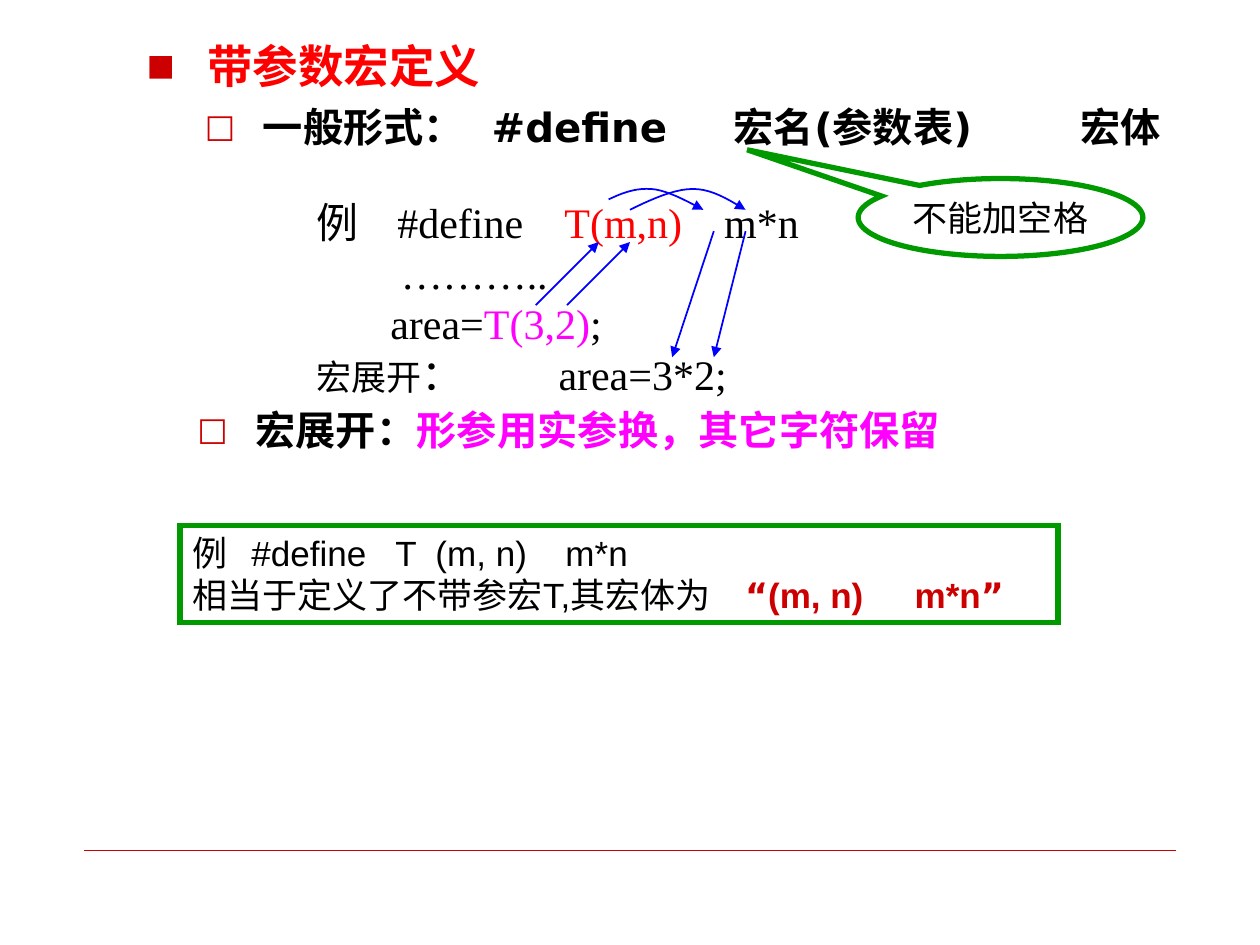
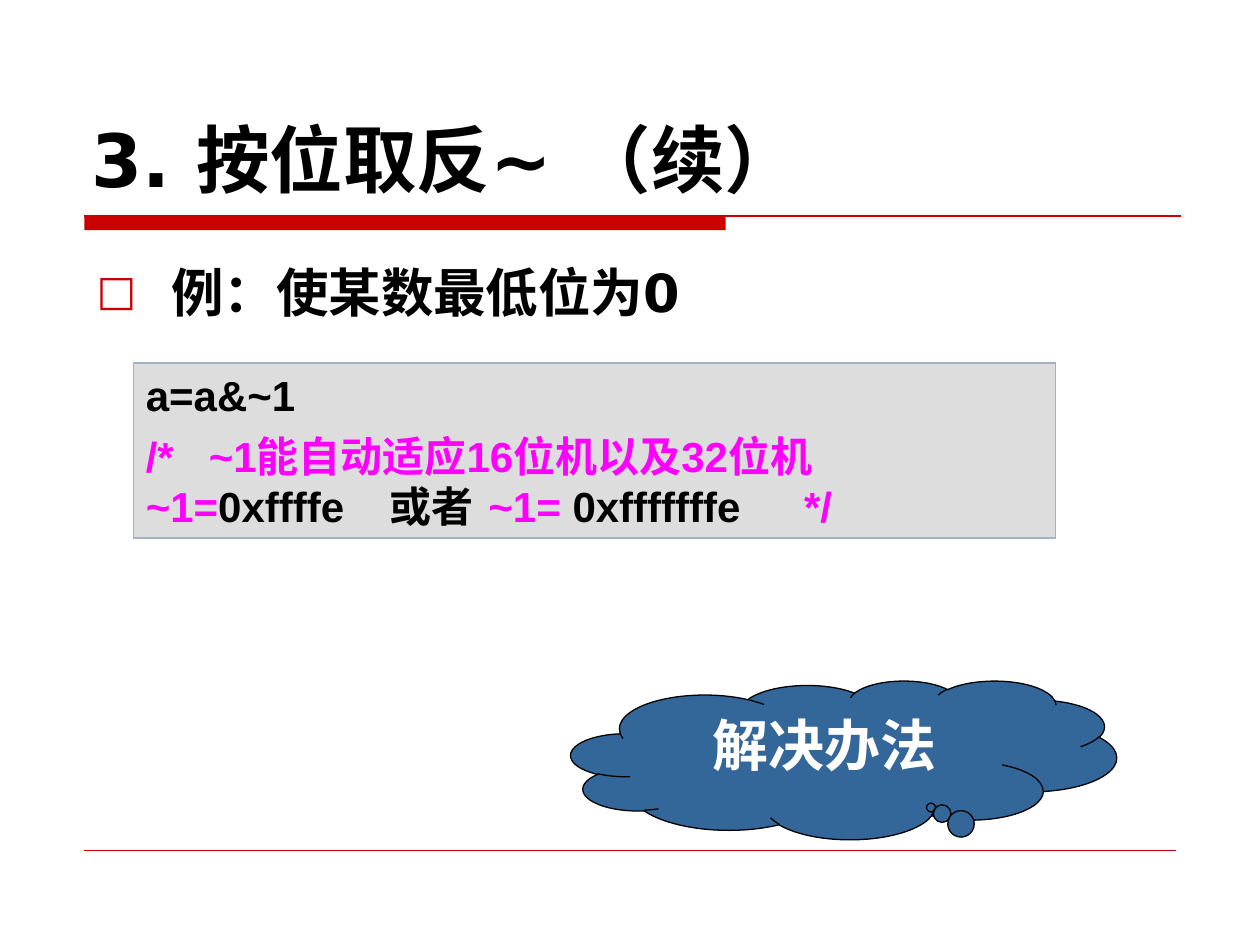
"""Build two slides on macros with parameters and on bitwise negation."""
import lxml.etree
import pptx
import pptx.dml.color
import pptx.enum.shapes
import pptx.enum.text
import pptx.oxml.ns
import pptx.util

Cm = pptx.util.Cm
Pt = pptx.util.Pt
qn = pptx.oxml.ns.qn
SHAPES = pptx.enum.shapes.MSO_SHAPE
STRAIGHT = pptx.enum.shapes.MSO_CONNECTOR.STRAIGHT
ANCHOR = pptx.enum.text.MSO_ANCHOR
ALIGN = pptx.enum.text.PP_ALIGN

HEADING_FONT, CODE_FONT, SERIF_FONT = "DejaVu Sans", "Arial", "Times New Roman"
hex_colors = {
    "black": "000000", "white": "FFFFFF", "accent": "CC0000", "red": "FF0000",
    "magenta": "FF00FF", "green": "009900", "arrow": "0000FF",
    "panel": "DDDDDD", "panel edge": "A3B2C1", "cloud": "336699",
}
colors = {name: pptx.dml.color.RGBColor.from_string(value) for name, value in hex_colors.items()}


def write(frame, pieces, size, font, color="black", bold=False, tabs=(), bullet=None, before=0):
    """Add one paragraph; pieces are (text, color, size) with optional ends."""
    frame.word_wrap = True
    paragraph = frame.add_paragraph() if frame.text else frame.paragraphs[0]
    paragraph.alignment = ALIGN.LEFT
    paragraph.line_spacing = Pt(size * 1.2)
    if before:
        paragraph.space_before = Pt(before)
    properties = paragraph._p.get_or_add_pPr()
    if bullet:
        character, scale, left, hanging = bullet
        properties.set("marL", str(Cm(left)))
        properties.set("indent", str(-Cm(hanging)))
        bullet_color = lxml.etree.SubElement(properties, qn("a:buClr"))
        lxml.etree.SubElement(bullet_color, qn("a:srgbClr"), val=hex_colors["accent"])
        lxml.etree.SubElement(properties, qn("a:buSzPct"), val=str(scale * 1000))
        lxml.etree.SubElement(properties, qn("a:buFont"), typeface=HEADING_FONT)
        lxml.etree.SubElement(properties, qn("a:buChar"), char=character)
    if tabs:
        tab_list = lxml.etree.SubElement(properties, qn("a:tabLst"))
        for position in tabs:
            lxml.etree.SubElement(tab_list, qn("a:tab"), pos=str(Cm(position)), algn="l")
    paragraph.font.size = Pt(size)
    paragraph.font.name = font
    paragraph.font.bold = bold
    paragraph.font.color.rgb = colors[color]
    lxml.etree.SubElement(properties.find(qn("a:defRPr")), qn("a:ea"), typeface=HEADING_FONT)
    for text, *own in pieces:
        if text == "\v":
            paragraph.add_line_break()
            continue
        run = paragraph.add_run()
        run.text = text
        if own:
            run.font.color.rgb = colors[own[0]]
        if own[1:]:
            run.font.size = Pt(own[1])
    return paragraph


def style_line(shape, color, width, arrow=False):
    """Give a connector or outline its stroke, without a shadow."""
    shape.line.color.rgb = colors[color]
    shape.line.width = Pt(width)
    stroke = shape.line._get_or_add_ln()
    lxml.etree.SubElement(stroke, qn("a:miter"), lim="800000")
    if arrow:
        lxml.etree.SubElement(stroke, qn("a:tailEnd"), type="triangle")
    lxml.etree.SubElement(shape._element.spPr, qn("a:effectLst"))


presentation = pptx.Presentation()
presentation.slide_width, presentation.slide_height = Cm(25.4), Cm(19.05)
macro_slide, negation_slide = [
    presentation.slides.add_slide(presentation.slide_layouts[6]) for _ in range(2)]
for slide in (macro_slide, negation_slide):
    footer_line = slide.shapes.add_connector(STRAIGHT, Cm(1.7), Cm(17.15), Cm(23.7), Cm(17.15))
    style_line(footer_line, "accent", 0.25)

shapes = macro_slide.shapes
sub_bullet = ("□", 80, 3.63, 1.17)
heading = shapes.add_textbox(Cm(1.42), Cm(0.64), Cm(23.9), Cm(2.54)).text_frame
write(heading, [("带参数宏定义",)], 26, HEADING_FONT, "red", True, bullet=("■", 65, 2.51, 1.22))
write(heading, [("一般形式：",)], 23, HEADING_FONT, bold=True, bullet=sub_bullet, before=5.8)
general_form = shapes.add_textbox(Cm(9.66), Cm(1.93), Cm(15.6), Cm(1.23)).text_frame
write(general_form, [("#define\t宏名(参数表)\t宏体",)], 23, HEADING_FONT, bold=True, tabs=(4.88, 11.87))

equivalent = shapes.add_shape(SHAPES.RECTANGLE, Cm(3.63), Cm(10.59), Cm(17.7), Cm(1.96))
equivalent.fill.background()
style_line(equivalent, "green", 3)
equivalent.text_frame.vertical_anchor = ANCHOR.MIDDLE
write(equivalent.text_frame, [("例\t#define\tT\t(m, n)\tm*n",)], 20, CODE_FONT,
      tabs=(1.19, 4.09, 4.9, 7.52))
paragraph = write(equivalent.text_frame,
                  [("相当于定义了不带参宏T,其宏体为\t",), ("“(m, n)\tm*n”", "accent")],
                  20, CODE_FONT, tabs=(11.14, 14.56))
paragraph.runs[1].font.bold = True

expansion = shapes.add_textbox(Cm(1.27), Cm(8.04), Cm(21.59), Cm(2.3)).text_frame
write(expansion, [("宏展开：",), ("形参用实参换，其它字符保留", "magenta")],
      23, HEADING_FONT, bold=True, bullet=sub_bullet)

example = shapes.add_textbox(Cm(6.13), Cm(3.84), Cm(11.2), Cm(4.32)).text_frame
example.vertical_anchor = ANCHOR.MIDDLE
example_lines = [
    ([("例\t#define\t",), ("T(m,n)", "red"), ("\tm*n",)], (1.63, 5, 8.22)),
    ([("\t………..",)], (1.7,)),
    ([("\tarea=",), ("T(3,2)", "magenta"), (";",)], (1.49,)),
    ([("宏展开", "black", 20), ("：\tarea=3*2;",)], (4.88,)),
]
for pieces, tabs in example_lines:
    write(example, pieces, 24, SERIF_FONT, tabs=tabs)

argument_arrows = [
    (10.8, 6.15, 12.07, 4.88), (11.43, 6.15, 12.7, 4.88),
    (14.39, 4.66, 13.55, 7.2), (15.03, 4.66, 14.39, 7.2),
]
for ends in argument_arrows:
    arrow = shapes.add_connector(STRAIGHT, *[Cm(value) for value in ends])
    style_line(arrow, "arrow", 1, arrow=True)

parameter_curves = [
    [[(12.27, 4.02), (12.55, 3.89), (12.8, 3.79), (13.12, 3.81)],
     [(13.12, 3.81), (13.44, 3.83), (13.82, 4.04), (14.18, 4.23)]],
    [[(12.7, 4.23), (13.13, 4.02), (13.59, 3.81), (13.97, 3.81)],
     [(13.97, 3.81), (14.35, 3.81), (14.68, 4.02), (15.03, 4.23)]],
]
STEPS = 10
for segments in parameter_curves:
    points = []
    for controls in segments:
        for step in range(1, STEPS + 1):
            t = step / STEPS
            weights = ((1 - t) ** 3, 3 * t * (1 - t) ** 2, 3 * t ** 2 * (1 - t), t ** 3)
            points.append(tuple(Cm(sum(w * point[axis] for w, point in zip(weights, controls)))
                                for axis in (0, 1)))
    start_x, start_y = segments[0][0]
    builder = shapes.build_freeform(Cm(start_x), Cm(start_y))
    builder.add_line_segments(points, close=False)
    curve = builder.convert_to_shape()
    curve.fill.background()
    style_line(curve, "arrow", 1, arrow=True)

callout = shapes.add_shape(SHAPES.OVAL_CALLOUT, Cm(17.3), Cm(3.6), Cm(5.74), Cm(1.57))
callout.adjustments[0], callout.adjustments[1] = -0.89, -0.87
callout.fill.background()
style_line(callout, "green", 3)
callout.text_frame.vertical_anchor = ANCHOR.MIDDLE
write(callout.text_frame, [("不能加空格",)], 20, SERIF_FONT).alignment = ALIGN.CENTER
callout.text_frame.word_wrap = False

shapes = negation_slide.shapes
title = shapes.add_textbox(Cm(1.6), Cm(0.83), Cm(22.23), Cm(3.38)).text_frame
title.vertical_anchor = ANCHOR.BOTTOM
write(title, [("3. 按位取反~ （续）",)], 42, HEADING_FONT, bold=True)
title_band = shapes.add_shape(SHAPES.RECTANGLE, Cm(1.7), Cm(4.34), Cm(12.93), Cm(0.3))
title_band.shadow.inherit = False
title_band.fill.solid()
title_band.fill.fore_color.rgb = colors["accent"]
title_band.line.fill.background()
title_rule = shapes.add_connector(STRAIGHT, Cm(1.7), Cm(4.35), Cm(23.8), Cm(4.35))
style_line(title_rule, "accent", 1)

task = shapes.add_textbox(Cm(1.7), Cm(5.11), Cm(22), Cm(1.8)).text_frame
write(task, [("例：使某数最低位为0",)], 30, HEADING_FONT, bold=True, bullet=("□", 80, 1.5, 1.5))

code_panel = shapes.add_shape(SHAPES.RECTANGLE, Cm(2.69), Cm(7.32), Cm(18.59), Cm(3.53))
cloud = shapes.add_shape(SHAPES.CLOUD_CALLOUT, Cm(11.51), Cm(13.72), Cm(11), Cm(3.2))
cloud.adjustments[0], cloud.adjustments[1] = 0.16, 0.3
for shape, fill, edge in ((code_panel, "panel", "panel edge"), (cloud, "cloud", "black")):
    shape.fill.solid()
    shape.fill.fore_color.rgb = colors[fill]
    style_line(shape, edge, 0.75)
    shape.text_frame.vertical_anchor = ANCHOR.TOP

write(code_panel.text_frame, [("a=a&~1",)], 24, CODE_FONT, bold=True)
comment = [
    ("/*\t~1能自动适应16位机以及32位机",), ("\v",), ("~1=",),
    ("0xffffe\t或者 ", "black"), ("~1= ",), ("0xfffffffe\t", "black"), ("*/",),
]
write(code_panel.text_frame, comment, 24, CODE_FONT, "magenta", True,
      tabs=(1.27, 4.92, 13.27), before=6)
write(cloud.text_frame, [("解决办法",)], 32, HEADING_FONT, "white", True).alignment = ALIGN.CENTER

presentation.save("out.pptx")
